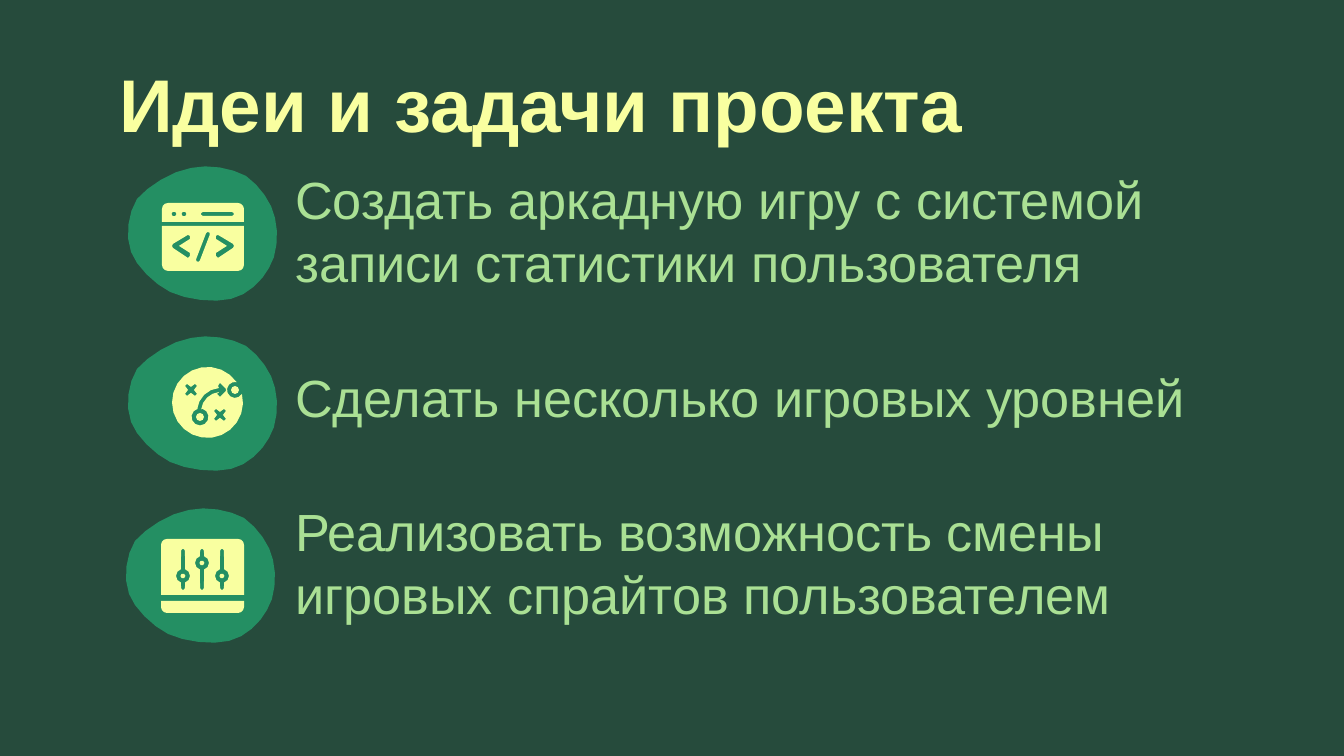
"""Builds the slide on the ideas and tasks of a game project."""
import math
from dataclasses import dataclass

import pptx
import pptx.dml.color
import pptx.enum.text
import pptx.util

PX = 914400 / 134.4
AUTO = pptx.enum.text.MSO_AUTO_SIZE
RGB = pptx.dml.color.RGBColor.from_string


@dataclass(frozen=True)
class Theme:
    background = RGB("264B3C")
    cream = RGB("F9FFA0")
    green = RGB("248F63")
    body = RGB("AAE094")
    font = "Arial"
    title_size = pptx.util.Pt(40)
    body_size = pptx.util.Pt(28)


def arc(x, y, radius, start, end):
    steps = math.ceil(abs(end - start) * math.sqrt(radius) / 100)
    angles = [math.radians(start + (end - start) * i / steps) for i in range(steps + 1)]
    return [(x + radius * math.cos(a), y + radius * math.sin(a)) for a in angles]


def add_outline(contours, color):
    spots = [[(round(x * PX), round(y * PX)) for x, y in contour] for contour in contours]
    builder = slide.shapes.build_freeform(*spots[0][0])
    builder.add_line_segments(spots[0][1:])
    for hole in spots[1:]:
        builder.move_to(*hole[0])
        builder.add_line_segments(hole[1:])
    outline = builder.convert_to_shape()
    outline.shadow.inherit = False
    outline.fill.solid()
    outline.fill.fore_color.rgb = color
    outline.line.fill.background()


prs = pptx.Presentation()
prs.slide_width = round(1344 * PX)
prs.slide_height = round(756 * PX)
slide = prs.slides.add_slide(prs.slide_layouts[5])
slide.background.fill.solid()
slide.background.fill.fore_color.rgb = Theme.background

heading = slide.shapes.title
heading.left, heading.top, heading.width, heading.height = [round(n * PX) for n in (105, 44, 1134, 85)]
heading_frame = heading.text_frame
heading_frame.text = "Идеи и задачи проекта"
heading_frame.auto_size = AUTO.NONE
heading_frame.vertical_anchor = pptx.enum.text.MSO_ANCHOR.TOP
heading_frame.margin_top = heading_frame.margin_bottom = round(14 * PX)
heading_frame.margin_left = heading_frame.margin_right = round(14 * PX)
heading_line = heading_frame.paragraphs[0]
heading_line.alignment = pptx.enum.text.PP_ALIGN.LEFT
heading_font = heading_line.runs[0].font
heading_font.name = Theme.font
heading_font.size = Theme.title_size
heading_font.bold = True
heading_font.color.rgb = Theme.cream

tasks = [
    ("Создать аркадную игру с системой\nзаписи статистики пользователя", 161, 1062, 140),
    ("Сделать несколько игровых уровней", 359, 941, 77),
    ("Реализовать возможность смены игровых спрайтов пользователем", 493, 985, 140),
]
for task, top, width, height in tasks:
    task_frame = slide.shapes.add_textbox(
        *[round(n * PX) for n in (282, top, width, height)]).text_frame
    task_frame.text = task
    task_frame.word_wrap = True
    task_frame.auto_size = AUTO.SHAPE_TO_FIT_TEXT
    for paragraph in task_frame.paragraphs:
        for run in paragraph.runs:
            run.font.name = Theme.font
            run.font.size = Theme.body_size
            run.font.color.rgb = Theme.body

blob_curves = [
    ((44, 4), (20, 19), (9, 32)),
    ((0, 46), (-3, 69), (3, 85)),
    ((8, 99), (26, 117), (42, 125)),
    ((59, 133), (86, 136), (103, 132)),
    ((120, 128), (134, 114), (141, 101)),
    ((149, 89), (151, 67), (147, 51)),
    ((144, 36), (132, 19), (118, 9)),
    ((103, 1), (81, -3), (63, 1)),
]
blob = [(63, 1)]
for b, c, d in blob_curves:
    a = blob[-1]
    for t in (0.25, 0.5, 0.75, 1):
        u = 1 - t
        blob.append([u**3 * a[i] + 3 * u * u * t * b[i] + 3 * u * t * t * c[i] + t**3 * d[i]
                     for i in (0, 1)])
for left, top in [(128, 167), (128, 337), (126, 509)]:
    add_outline([[(left + x, top + y) for x, y in blob]], Theme.green)

knobs = [(202, 563), (222, 576), (183, 576)]
for x, y in knobs:
    add_outline([arc(x, y, 2.5, 0, 360)], Theme.cream)
sliders = [
    arc(x, 551, 2, 180, 360) + arc(x, y, 7, -73, 73) + arc(x, 588, 2, 0, 180) + arc(x, y, 7, 107, 253)
    for x, y in knobs
]

window_dots = [arc(x, 214, 2.5, 0, 360) for x in (174, 184)]
address_bar = arc(203, 214, 2, 90, 270) + arc(232, 214, 2, 270, 450)
left_bracket = [(188, 235), (190, 236), (190, 239), (179, 246), (190, 253), (190, 256),
                (188, 258), (173, 248), (172, 246), (173, 244)]
right_bracket = [(406 - x, y) for x, y in left_bracket]
slash = arc(208, 234, 2, 201, 381) + arc(198, 260, 2, 21, 201)

panels = [
    (161, 601, 244, 613, False, []),
    (161, 539, 244, 595, True, sliders),
    (162, 203, 244, 222, True, window_dots + [address_bar]),
    (162, 226, 244, 271, False, [left_bracket, right_bracket, slash]),
]
for left, top, right, bottom, round_top, holes in panels:
    if round_top:
        panel = arc(left + 6, top + 6, 6, 180, 270) + arc(right - 6, top + 6, 6, 270, 360)
        panel += [(right, bottom), (left, bottom)]
    else:
        panel = [(left, top), (right, top)]
        panel += arc(right - 6, bottom - 6, 6, 0, 90) + arc(left + 6, bottom - 6, 6, 90, 180)
    add_outline([panel] + holes, Theme.cream)

field = arc(207.5, 402.5, 35.5, -14, 325) + arc(235, 390, 8, -76, -330)
route = arc(200, 417, 8.5, -75, 255) + arc(221, 412, 24, 186, 265)
route += [(218, 386), (220, 383), (226, 389), (226, 391), (220, 397), (217, 394)]
route += arc(221, 412, 20, 265, 187)
crosses = []
for x, y in [(191, 390), (220, 415)]:
    cross = []
    for dx, dy in [(0, -3), (4, -6), (6, -4)]:
        cross.append((dx, dy))
    for turn in range(3):
        cross += [(-dy, dx) for dx, dy in cross[-3:]]
    crosses.append([(x + dx, y + dy) for dx, dy in cross])
add_outline([arc(200, 417, 4, 0, 360)], Theme.cream)
add_outline([field, route] + crosses, Theme.cream)
add_outline([arc(235, 390, 4, 0, 360)], Theme.cream)

prs.save("out.pptx")
